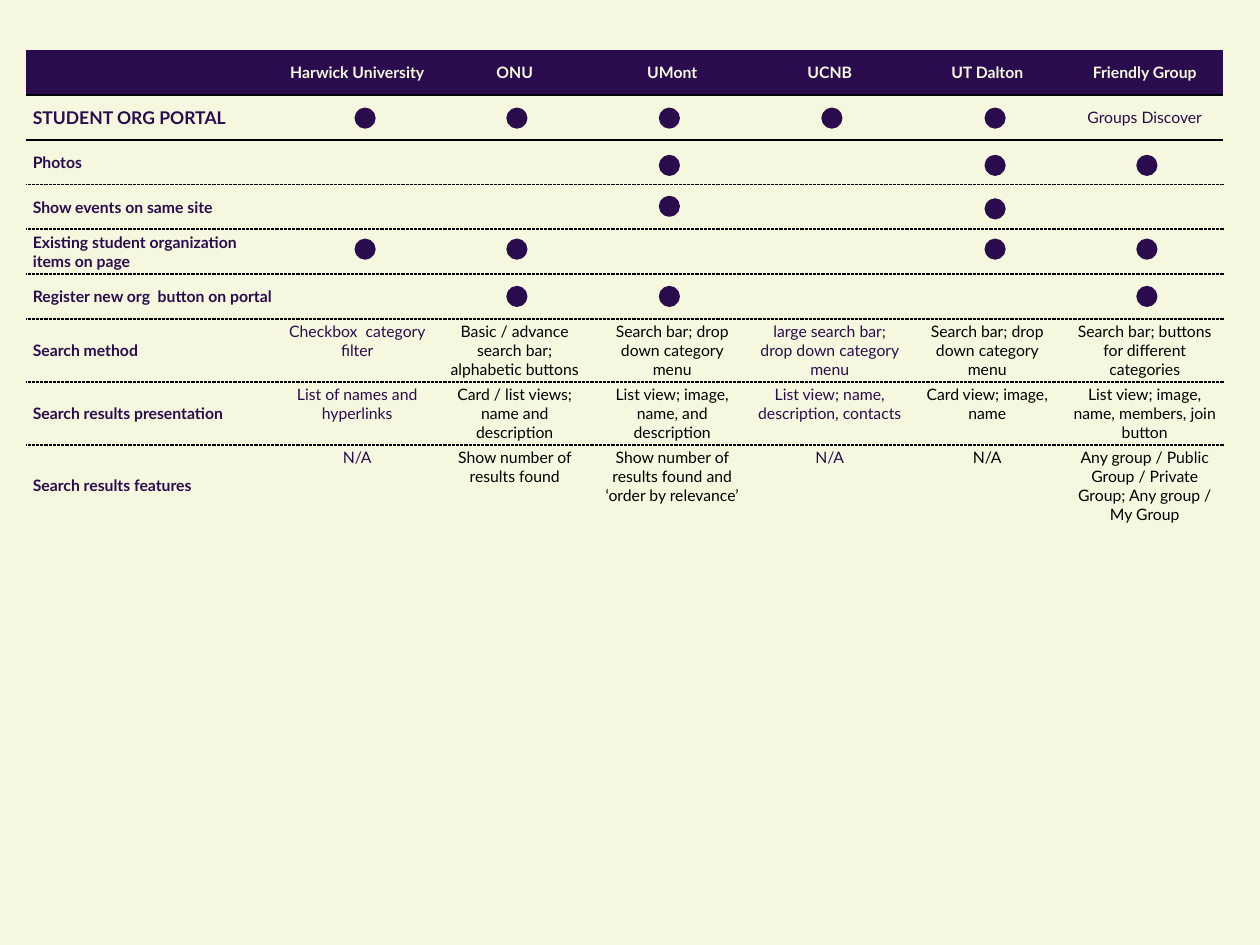
from lxml import etree
from pptx import Presentation
from pptx.dml.color import RGBColor
from pptx.enum.shapes import MSO_SHAPE
from pptx.enum.text import MSO_ANCHOR, PP_ALIGN
from pptx.oxml.ns import qn
from pptx.util import Inches, Pt

INK = RGBColor(0x2A, 0x0C, 0x4E)
CREAM = RGBColor(0xF5, 0xF8, 0xDE)
BLACK = RGBColor(0, 0, 0)

ROWS = [
    ["", "Harwick University", "ONU", "UMont", "UCNB", "UT Dalton", "Friendly Group"],
    ["STUDENT ORG PORTAL", "", "", "", "", "", "Groups Discover"],
    ["Photos"],
    ["Show events on same site"],
    ["Existing student organization items on page"],
    ["Register new org  button on portal"],
    ["Search method", "Checkbox  category filter",
     "Basic / advance search bar; alphabetic buttons",
     "Search bar; drop down category menu",
     "large search bar;\ndrop down category menu",
     "Search bar; drop down category menu",
     "Search bar; buttons for different categories"],
    ["Search results presentation", "List of names and hyperlinks",
     "Card / list views; name and description",
     "List view; image, name, and description",
     "List view; name, description, contacts",
     "Card view; image, name",
     "List view; image, name, members, join button"],
    ["Search results features", "N/A", "Show number of results found",
     "Show number of results found and ‘order by relevance’",
     "N/A", "N/A",
     "Any group / Public Group / Private Group; Any group / My Group"],
]
WIDTHS = [4] + [2.5] * 6
HEIGHTS = [0.71] * 6 + [1, 1, 1.3]
LEFT, TOP = 0.42, 0.8
PLAIN = "{2D5ABB26-0587-4C30-8999-92F81FD0307C}"  # style without grid
SOLID, DOTTED = (3, "solid"), (2.25, "sysDot")
RULES = [SOLID] * 2 + [DOTTED] * 6  # rule below each row but the last
INK_COLS = (0, 1, 4)

DOT = 0.25
DOT_LEFT = {1: 5.67, 2: 8.08, 3: 10.5, 4: 13.08, 5: 15.67, 6: 18.08}
DOTS = [  # top, marked columns
    (1.75, (1, 2, 3, 4, 5)),
    (2.5, (3, 5, 6)),
    (3.15, (3,)),
    (3.19, (5,)),
    (3.83, (1, 2, 5, 6)),
    (4.58, (2, 3, 6)),
]


def border(cell, side, rule):
    width, dash = rule
    line = etree.SubElement(cell._tc.get_or_add_tcPr(), qn("a:" + side), w=str(Pt(width)))
    fill = etree.SubElement(line, qn("a:solidFill"))
    etree.SubElement(fill, qn("a:srgbClr"), val=str(BLACK))
    etree.SubElement(line, qn("a:prstDash"), val=dash)


def style(cell, row, col):
    if row > 0:
        border(cell, "lnT", RULES[row - 1])
    if row < len(RULES):
        border(cell, "lnB", RULES[row])
    if row == 0:
        cell.fill.solid()
        cell.fill.fore_color.rgb = INK
        color = CREAM
    else:
        cell.fill.background()
        color = INK if row == 1 or col in INK_COLS else BLACK
    if row < 2 or col == 0:
        cell.vertical_anchor = MSO_ANCHOR.MIDDLE
    size = 20 if (row, col) == (1, 0) else 18
    look = {"name": "Lato", "size": Pt(size), "bold": row == 0 or col == 0}
    for para in cell.text_frame.paragraphs:
        para.alignment = PP_ALIGN.CENTER if col else PP_ALIGN.LEFT
        for run in para.runs:
            for key, value in look.items():
                setattr(run.font, key, value)
            run.font.color.rgb = color


def add_grid(slide):
    frame = slide.shapes.add_table(
        len(ROWS), len(WIDTHS), Inches(LEFT), Inches(TOP),
        Inches(sum(WIDTHS)), Inches(sum(HEIGHTS)))
    grid = frame.table
    grid._tbl.tblPr.find(qn("a:tableStyleId")).text = PLAIN
    grid.horz_banding = False
    for col, width in enumerate(WIDTHS):
        grid.columns[col].width = Inches(width)
    for row, texts in enumerate(ROWS):
        grid.rows[row].height = Inches(HEIGHTS[row])
        for col in range(len(WIDTHS)):
            cell = grid.cell(row, col)
            if col < len(texts) and texts[col]:
                cell.text = texts[col]
            style(cell, row, col)


def add_dot(slide, left, top):
    dot = slide.shapes.add_shape(
        MSO_SHAPE.OVAL, Inches(left), Inches(top), Inches(DOT), Inches(DOT))
    dot.shadow.inherit = False
    dot.fill.solid()
    dot.fill.fore_color.rgb = INK
    dot.line.color.rgb = INK
    dot.line.width = Pt(6)


def main():
    deck = Presentation()
    deck.slide_width, deck.slide_height = Inches(20), Inches(15)
    slide = deck.slides.add_slide(deck.slide_layouts[6])
    slide.background.fill.solid()
    slide.background.fill.fore_color.rgb = CREAM
    add_grid(slide)
    for top, cols in DOTS:
        for col in cols:
            add_dot(slide, DOT_LEFT[col], top)
    deck.save("out.pptx")


if __name__ == "__main__":
    main()
